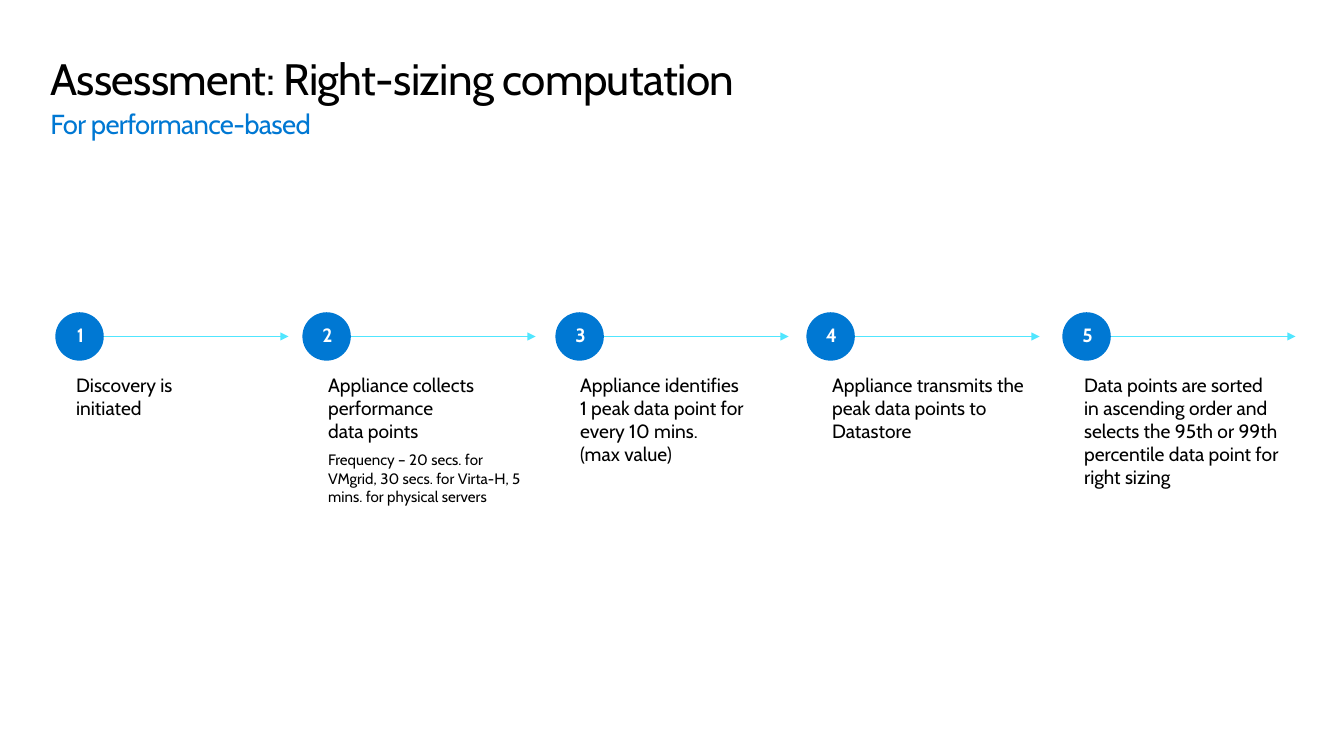
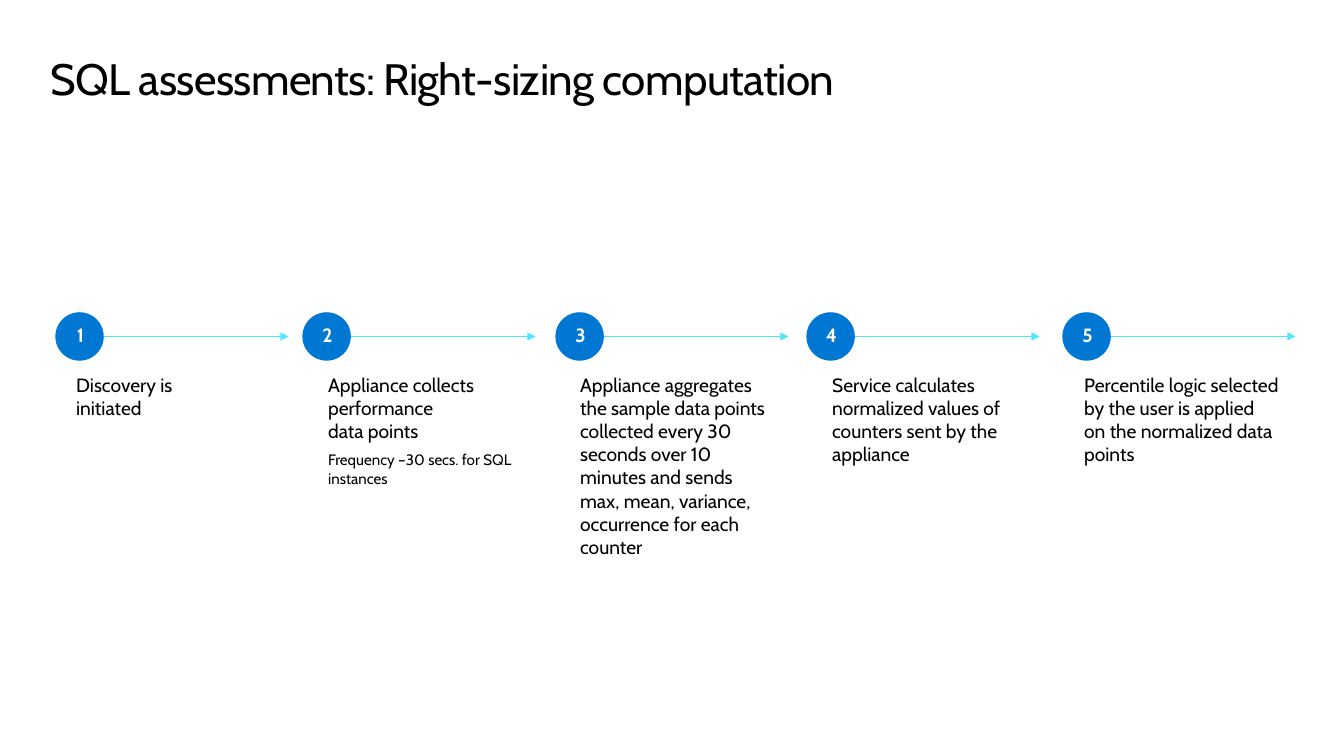
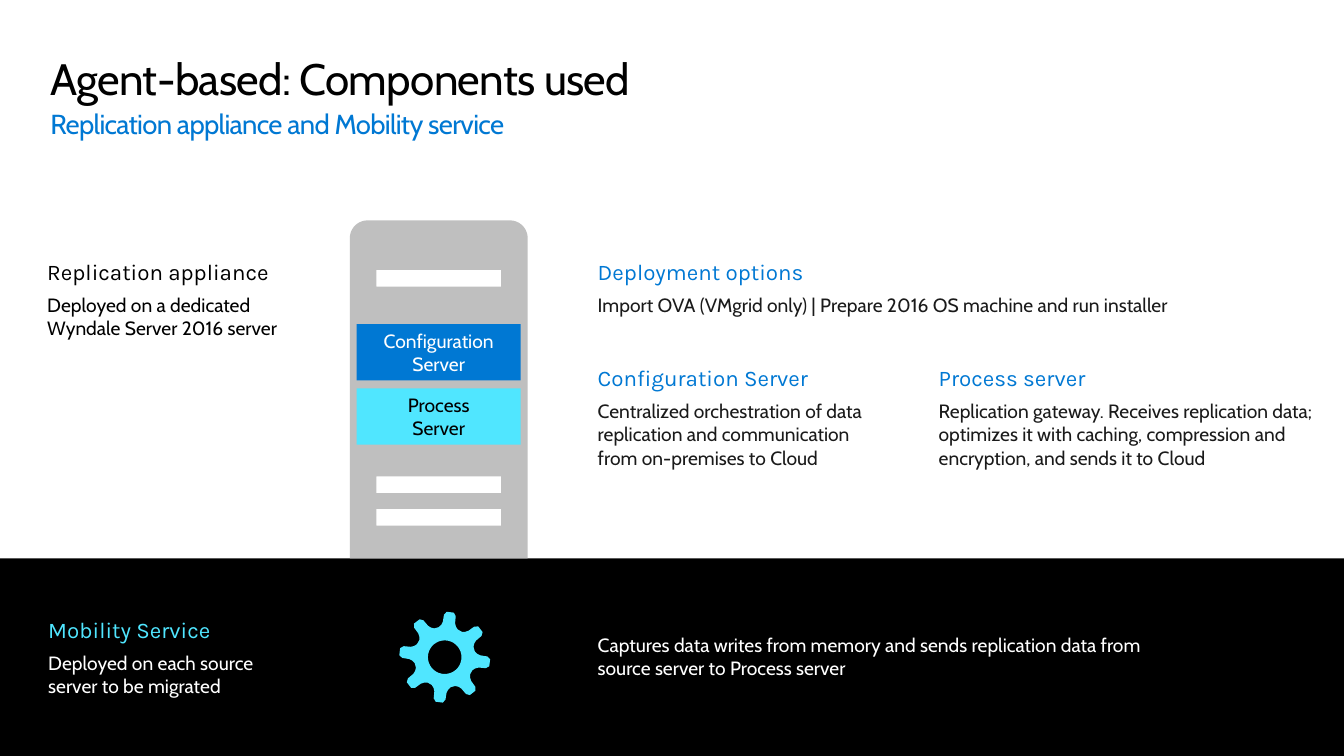
from dataclasses import dataclass
from math import cos, radians, sin

from lxml import etree
from pptx import Presentation
from pptx.dml.color import RGBColor
from pptx.enum.shapes import MSO_CONNECTOR, MSO_SHAPE
from pptx.enum.text import MSO_ANCHOR, PP_ALIGN
from pptx.oxml.ns import qn
from pptx.util import Inches, Pt

ELLIPSE, RECTANGLE = MSO_SHAPE.OVAL, MSO_SHAPE.RECTANGLE
STRAIGHT = MSO_CONNECTOR.STRAIGHT
TOP, MIDDLE = MSO_ANCHOR.TOP, MSO_ANCHOR.MIDDLE
LEFT, CENTER = PP_ALIGN.LEFT, PP_ALIGN.CENTER


@dataclass(frozen=True)
class Theme:
    width: float = 13.6
    height: float = 7.65
    font: str = "Cabin"
    heading_font: str = "Karla"
    black: str = "000000"
    white: str = "FFFFFF"
    ink: str = "1A1A1A"
    blue: str = "0078D3"
    cyan: str = "50E6FF"
    gray: str = "BFBFBF"
    title: float = 32
    subtitle: float = 20
    heading: float = 16.3
    body: float = 14
    note: float = 11


THEME = Theme()
TITLE_INSETS = (0, 0.1, 0.16, 0.1)
STEP_INSETS = (0.2, 0.05, 0.2, 0.05)
BODY_INSETS = (0.1, 0.05, 0.1, 0.05)
CIRCLE_LEFTS = (0.56, 3.06, 5.62, 8.16, 10.75)


# Text
def format_frame(frame, insets=BODY_INSETS, anchor=TOP):
    frame.word_wrap = True
    frame.vertical_anchor = anchor
    (frame.margin_left, frame.margin_top,
     frame.margin_right, frame.margin_bottom) = map(Inches, insets)


def write_paragraph(frame, text, size=THEME.body, color=THEME.black, font=THEME.font,
                    bold=False, align=LEFT, spacing=None, after=0, tracking=0):
    """Fill the first paragraph if it is empty, otherwise append one."""
    first = frame.paragraphs[0]
    paragraph = frame.add_paragraph() if first.runs else first
    paragraph.text = text.replace("\n", "\v")
    paragraph.alignment = align
    paragraph.space_after = Pt(after)
    if spacing:
        paragraph.line_spacing = spacing
    for run in paragraph.runs:
        run.font.name = font
        run.font.size = Pt(size)
        run.font.bold = bold
        run.font.color.rgb = RGBColor.from_string(color)
        if tracking:
            run.font._element.set("spc", str(int(tracking * 100)))
    for line_break in paragraph._p.findall(qn("a:br")):
        etree.SubElement(line_break, qn("a:rPr"), sz=str(int(size * 100)))


def add_text_box(slide, box, insets=BODY_INSETS, anchor=TOP):
    frame = slide.shapes.add_textbox(*map(Inches, box)).text_frame
    format_frame(frame, insets, anchor)
    return frame


def add_headed_text(slide, box, heading, text, heading_color=THEME.blue,
                    color=THEME.ink, anchor=TOP):
    frame = add_text_box(slide, box, anchor=anchor)
    write_paragraph(frame, heading, size=THEME.heading, color=heading_color,
                    font=THEME.heading_font, after=6)
    write_paragraph(frame, text, color=color)


# Shapes
def paint(shape, color):
    shape.shadow.inherit = False
    shape.fill.solid()
    shape.fill.fore_color.rgb = RGBColor.from_string(color)
    shape.line.fill.background()


def add_block(slide, kind, box, color):
    shape = slide.shapes.add_shape(kind, *map(Inches, box))
    paint(shape, color)
    return shape


def add_outline(slide, contours, color):
    """Draw closed contours as one shape; inner contours become holes."""
    contours = [[(Inches(x), Inches(y)) for x, y in points] for points in contours]
    builder = slide.shapes.build_freeform(*contours[0][0])
    for index, points in enumerate(contours):
        if index:
            builder.move_to(*points[0])
        builder.add_line_segments(points[1:], close=True)
    paint(builder.convert_to_shape(), color)


def add_arrow(slide, left, top, length):
    arrow = slide.shapes.add_connector(
        STRAIGHT, Inches(left), Inches(top), Inches(left + length), Inches(top))
    arrow.line.color.rgb = RGBColor.from_string(THEME.cyan)
    arrow.line.width = Pt(1)
    etree.SubElement(arrow.line._get_or_add_ln(), qn("a:tailEnd"), type="triangle")
    etree.SubElement(arrow._element.spPr, qn("a:effectLst"))


def arc(center_x, center_y, radius, start, end, step):
    return [(center_x + radius * cos(radians(angle)), center_y + radius * sin(radians(angle)))
            for angle in range(start, end, step)]


# Title and optional subtitle
def add_titled_slide(presentation, title, subtitle=None):
    slide = presentation.slides.add_slide(presentation.slide_layouts[6])
    frame = add_text_box(slide, (0.51, 0.48, 12.61, 0.6), TITLE_INSETS)
    write_paragraph(frame, title, size=THEME.title, spacing=0.9, tracking=-0.5)
    if subtitle:
        frame = add_text_box(slide, (0.51, 0.98, 13, 0.54), TITLE_INSETS)
        write_paragraph(frame, subtitle, size=THEME.subtitle, color=THEME.blue, tracking=-0.5)
    return slide


# Numbered process
def add_step(slide, number, circle_left, text_left, top, text, note=None):
    diameter = 0.49
    circle = add_block(slide, ELLIPSE, (circle_left, top, diameter, diameter), THEME.blue)
    format_frame(circle.text_frame, (0.02, 0, 0, 0), MIDDLE)
    write_paragraph(circle.text_frame, str(number), color=THEME.white, bold=True,
                    align=CENTER, spacing=0.9)
    add_arrow(slide, circle_left + diameter, top + diameter / 2, 1.87)

    frame = add_text_box(slide, (text_left, top + 0.57, 2.38, 2), STEP_INSETS)
    write_paragraph(frame, text, after=6 if note else 0)
    if note:
        write_paragraph(frame, note, size=THEME.note)


def add_process(slide, steps, left=0.57, top=3.16, pitch=2.55):
    for index, (circle_left, step) in enumerate(zip(CIRCLE_LEFTS, steps)):
        add_step(slide, index + 1, circle_left, left + index * pitch, top, *step)


# Server cabinet with slots and two labelled modules
def add_server(slide, left, top, width, height):
    radius, right, bottom = 0.18, left + width, top + height
    cabinet = ([(left, bottom)]
               + arc(left + radius, top + radius, radius, 180, 271, 10)
               + arc(right - radius, top + radius, radius, 270, 361, 10)
               + [(right, bottom)])
    slot_left, slot_right = left + 0.27, right - 0.27
    slots = [[(slot_left, y), (slot_left, y + 0.17), (slot_right, y + 0.17), (slot_right, y)]
             for y in (top + 0.5, top + 2.59, top + 2.92)]
    add_outline(slide, [cabinet, *slots], THEME.gray)

    modules = ((1.05, THEME.blue, THEME.white, ("Configuration Server",)),
               (1.7, THEME.cyan, THEME.black, ("Process", "Server")))
    for offset, fill, color, lines in modules:
        module = add_block(slide, RECTANGLE, (left + 0.07, top + offset, 1.66, 0.57), fill)
        format_frame(module.text_frame, anchor=MIDDLE)
        for line in lines:
            write_paragraph(module.text_frame, line, color=color, align=CENTER)


def add_gear(slide, center_x, center_y, teeth=8, tilt=7):
    # Half a tooth, as radius and angle from the middle of the tooth
    half_tooth = ((0.46, 4.5), (0.43, 8), (0.36, 10), (0.33, 13), (0.31, 18))
    profile = [(radius, -angle) for radius, angle in reversed(half_tooth)] + list(half_tooth)
    rim = []
    for tooth in range(teeth):
        for radius, offset in profile:
            angle = radians(tooth * 360 / teeth + tilt + offset)
            rim.append((center_x + radius * cos(angle), center_y + radius * sin(angle)))
    hole = arc(center_x, center_y, 0.17, 360, 0, -10)
    add_outline(slide, [rim, hole], THEME.cyan)


# Band along the bottom for the mobility service
def add_mobility_band(slide, top):
    add_block(slide, RECTANGLE, (0, top, THEME.width, THEME.height - top), THEME.black)
    add_headed_text(slide, (0.39, top + 0.53, 2.76, 0.93), "Mobility Service",
                    "Deployed on each source server to be migrated",
                    heading_color=THEME.cyan, color=THEME.white, anchor=MIDDLE)
    add_gear(slide, 4.5, top + 1)
    frame = add_text_box(slide, (5.95, top + 0.71, 6.1, 0.57), anchor=MIDDLE)
    write_paragraph(frame, "Captures data writes from memory and sends replication data "
                    "from source server to Process server", color=THEME.white)


def add_components(slide):
    band_top, server_top = 5.65, 2.23
    add_mobility_band(slide, band_top)
    add_server(slide, 3.54, server_top, 1.8, band_top - server_top)
    add_headed_text(slide, (0.38, 2.56, 2.86, 0.93), "Replication appliance",
                    "Deployed on a dedicated Wyndale Server 2016 server",
                    heading_color=THEME.black, color=THEME.black)
    descriptions = (
        ((5.95, 2.56, 6.66, 0.69), "Deployment options",
         "Import OVA (VMgrid only) | Prepare 2016 OS machine and run installer"),
        ((5.95, 3.64, 3.15, 1.47), "Configuration Server",
         "Centralized orchestration of data replication and communication "
         "from on-premises to Cloud"),
        ((9.4, 3.64, 4.11, 1.47), "Process server",
         "Replication gateway. Receives replication data; optimizes it with caching, "
         "compression and encryption, and sends it to Cloud"),
    )
    for box, heading, text in descriptions:
        add_headed_text(slide, box, heading, text)


DISCOVERY = ("Discovery is\ninitiated",)
COLLECTION = "Appliance collects performance\ndata points"
PERFORMANCE_STEPS = (
    DISCOVERY,
    (COLLECTION,
     "Frequency – 20 secs. for VMgrid, 30 secs. for Virta-H, 5 mins. for physical servers"),
    ("Appliance identifies\n1 peak data point for every 10 mins.\n(max value)",),
    ("Appliance transmits the peak data points to Datastore",),
    ("Data points are sorted in ascending order and selects the 95th or 99th "
     "percentile data point for right sizing",),
)
SQL_STEPS = (
    DISCOVERY,
    (COLLECTION, "Frequency –30 secs. for SQL instances"),
    ("Appliance aggregates the sample data points collected every 30 seconds over "
     "10 minutes and sends max, mean, variance, occurrence for each counter",),
    ("Service calculates normalized values of counters sent by the appliance",),
    ("Percentile logic selected by the user is applied on the normalized data points",),
)


def main():
    presentation = Presentation()
    presentation.slide_width = Inches(THEME.width)
    presentation.slide_height = Inches(THEME.height)
    add_process(add_titled_slide(presentation, "Assessment: Right-sizing computation",
                                 "For performance-based"), PERFORMANCE_STEPS)
    add_process(add_titled_slide(presentation, "SQL assessments: Right-sizing computation"),
                SQL_STEPS)
    add_components(add_titled_slide(presentation, "Agent-based: Components used",
                                    "Replication appliance and Mobility service"))
    presentation.save("out.pptx")


if __name__ == "__main__":
    main()
